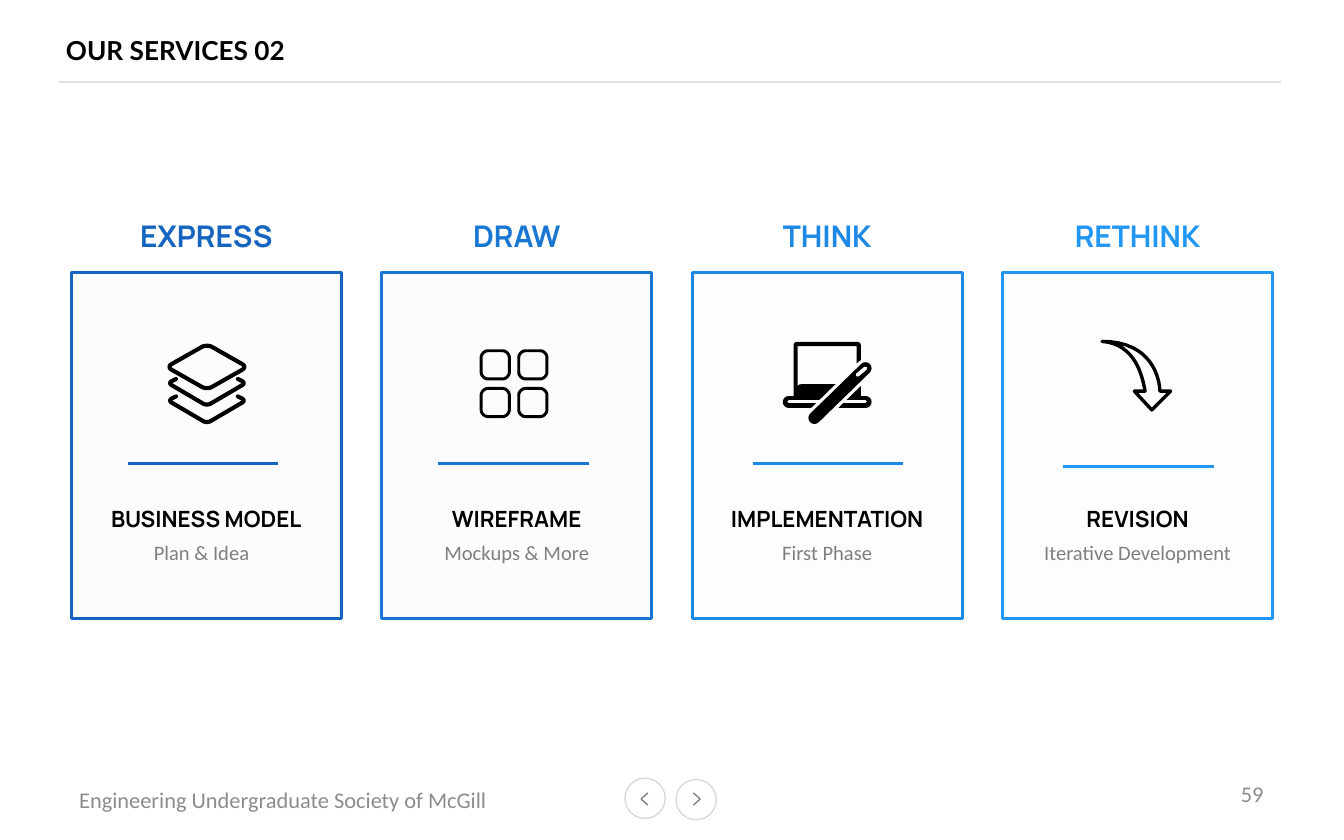
"""Build the "Our services 02" slide with four outlined service cards."""
import lxml.etree
import pptx
import pptx.dml.color
import pptx.enum.shapes
import pptx.enum.text
import pptx.oxml.ns
import pptx.util

Inches = pptx.util.Inches
ALIGN = pptx.enum.text.PP_ALIGN
SHAPE = pptx.enum.shapes.MSO_SHAPE
BLACK, GRAY, MUTED, PALE = "000000", "8C8C8C", "7F7F7F", "FBFDFF"


def bezier(start, first, second, end, steps=16):
    return [
        tuple(
            (1 - t) ** 3 * a + 3 * (1 - t) ** 2 * t * b + 3 * (1 - t) * t**2 * c + t**3 * d
            for a, b, c, d in zip(start, first, second, end)
        )
        for t in (step / steps for step in range(steps + 1))
    ]


def stroke(points, width, radius=0, closed=False, color=BLACK):
    return {"points": points, "width": width, "radius": radius, "closed": closed, "color": color}


def rectangle(left, top, right, bottom):
    return [(left, top), (right, top), (right, bottom), (left, bottom)]


def chevron(drop):
    points = [(1.31, 2.82), (1.25, 2.85), (1.54, 3.02), (1.83, 2.85), (1.77, 2.82)]
    return [(x, y + drop) for x, y in points]


LAYERS = [
    stroke([(1.24, 2.73), (1.54, 2.56), (1.84, 2.73), (1.54, 2.9)], 2.2, 0.04, True),
    stroke(chevron(0), 2.2, 0.03),
    stroke(chevron(0.13), 2.2, 0.03),
]
TILES = [
    stroke(rectangle(x, y, x + 0.21, y + 0.21), 1.6, 0.05, True)
    for x in (3.58, 3.86) for y in (2.61, 2.89)
]
LAPTOP = [
    stroke(rectangle(5.92, 2.56, 6.39, 2.96), 2.2, 0.01, True),
    stroke([(5.97, 2.91), (6.34, 2.91)], 8),
    stroke([(5.87, 2.99), (6.44, 2.99)], 6.5),
    stroke([(5.87, 2.99), (6.44, 2.99)], 1.5, color=PALE),
    stroke([(6.06, 3.11), (6.44, 2.74)], 10, color=PALE),
    stroke([(6.06, 3.11), (6.44, 2.74)], 6.5),
    stroke([(6.38, 2.79), (6.44, 2.74)], 2, color=PALE),
]
ARROW = [
    stroke(
        bezier((8.2, 2.54), (8.58, 2.54), (8.63, 2.83), (8.63, 2.91))
        + [(8.71, 2.91), (8.57, 3.05), (8.44, 2.91)]
        + bezier((8.52, 2.91), (8.5, 2.8), (8.45, 2.56), (8.2, 2.54)),
        1.8, closed=True,
    )
]

CARDS = [
    {"verb": "EXPRESS", "name": "BUSINESS MODEL", "caption": "Plan & Idea", "color": "1565C0",
     "fill": "C9E0F9", "rule": (0.95, 3.45), "caption_width": 1.94, "icon": LAYERS},
    {"verb": "DRAW", "name": "WIREFRAME", "caption": "Mockups & More", "color": "1976D2",
     "fill": "CEE4F9", "rule": (3.26, 3.45), "caption_width": 2.01, "icon": TILES},
    {"verb": "THINK", "name": "IMPLEMENTATION", "caption": "First Phase", "color": "1E88E5",
     "fill": "D2E7FA", "rule": (5.6, 3.45), "caption_width": 2.01, "icon": LAPTOP},
    {"verb": "RETHINK", "name": "REVISION", "caption": "Iterative Development", "color": "2196F3",
     "fill": "D3EAFD", "rule": (7.91, 3.47), "caption_width": 2.01, "icon": ARROW},
]
CARD_LEFT, CARD_STEP, CARD_TOP, CARD_WIDTH, CARD_HEIGHT = 0.53, 2.31, 2.03, 2.01, 2.57
BUTTONS = [(4.65, 5.79, 4.77, 4.82), (5.03, 5.8, 5.21, 5.16)]

deck = pptx.Presentation()
deck.slide_width, deck.slide_height = Inches(10), Inches(6.25)
page = deck.slides.add_slide(deck.slide_layouts[5])


def rgb(value):
    return pptx.dml.color.RGBColor.from_string(value)


def element(parent, tag, **attributes):
    return lxml.etree.SubElement(parent, pptx.oxml.ns.qn(tag), **attributes)


def outline(shape, color, width):
    shape.line.color.rgb = rgb(color)
    shape.line.width = pptx.util.Pt(width)


def write(box, text, size, color, font="Calibri", bold=False, align=ALIGN.LEFT, middle=False):
    frame = box.text_frame
    frame.word_wrap = True
    anchors = pptx.enum.text.MSO_ANCHOR
    frame.vertical_anchor = anchors.MIDDLE if middle else anchors.TOP
    para = frame.paragraphs[0]
    para.alignment = align
    span = para.add_run()
    span.text = text
    for key, value in {"name": font, "size": pptx.util.Pt(size), "bold": bold}.items():
        setattr(span.font, key, value)
    span.font.color.rgb = rgb(color)


def add_text(place, *content, **formats):
    write(page.shapes.add_textbox(*map(Inches, place)), *content, **formats)


def add_line(start, end, color, width):
    kind = pptx.enum.shapes.MSO_CONNECTOR.STRAIGHT
    line = page.shapes.add_connector(kind, *map(Inches, (*start, *end)))
    outline(line, color, width)
    element(line._element.spPr, "a:effectLst")


def add_shape(kind, place, fill, color, width, alpha=100):
    shape = page.shapes.add_shape(kind, *map(Inches, place))
    shape.shadow.inherit = False
    shape.fill.solid()
    shape.fill.fore_color.rgb = rgb(fill)
    if alpha < 100:
        tint = shape._element.spPr.find(".//" + pptx.oxml.ns.qn("a:srgbClr"))
        element(tint, "a:alpha", val=str(alpha * 1000))
    outline(shape, color, width)


def toward(start, end, distance):
    length = sum((b - a) ** 2 for a, b in zip(start, end)) ** 0.5
    return tuple(a + (b - a) * min(distance / length, 0.5) for a, b in zip(start, end))


def round_corners(points, radius, closed):
    rounded = []
    for index, point in enumerate(points):
        if not radius or (not closed and index in (0, len(points) - 1)):
            rounded.append(point)
            continue
        before = toward(point, points[index - 1], radius)
        after = toward(point, points[(index + 1) % len(points)], radius)
        rounded += bezier(before, toward(before, point, radius / 2),
                          toward(after, point, radius / 2), after, 6)
    return rounded


def add_stroke(points, width, radius, closed, color):
    corners = [tuple(map(Inches, point)) for point in round_corners(points, radius, closed)]
    builder = page.shapes.build_freeform(*corners[0])
    builder.add_line_segments(corners[1:], close=closed)
    shape = builder.convert_to_shape()
    shape.shadow.inherit = False
    shape.fill.background()
    outline(shape, color, width)
    line = shape._element.spPr.find(pptx.oxml.ns.qn("a:ln"))
    line.set("cap", "rnd")
    element(line, "a:round")


title = page.shapes.title
for side, value in {"left": 0.49, "top": 0.16, "width": 6.67, "height": 0.43}.items():
    setattr(title, side, Inches(value))
for side in ("left", "top", "right", "bottom"):
    setattr(title.text_frame, "margin_" + side, 0)
write(title, "OUR SERVICES 02", 14, BLACK, font="Lato", bold=True, middle=True)
add_line((0.44, 0.61), (9.53, 0.61), "E0E0E0", 0.75)

add_text((0.49, 5.8, 3.39, 0.3), "Engineering Undergraduate Society of McGill", 12, GRAY, middle=True)
add_text((7.17, 5.74, 2.33, 0.33), "59", 12, GRAY, align=ALIGN.RIGHT, middle=True)
for left, top, tip, tail in BUTTONS:
    add_shape(SHAPE.OVAL, (left, top, 0.3, 0.3), "FFFFFF", "D9D9D9", 0.75)
    for end in (5.9, 5.99):
        add_line((tip, 5.945), (tail, end), "808080", 0.75)

for index, card in enumerate(CARDS):
    left = CARD_LEFT + index * CARD_STEP
    add_shape(SHAPE.RECTANGLE, (left, CARD_TOP, CARD_WIDTH, CARD_HEIGHT),
              card["fill"], card["color"], 1.5, alpha=8)
    heading = {"font": "Manrope", "bold": True, "align": ALIGN.CENTER}
    add_text((left, 1.57, CARD_WIDTH, 0.37), card["verb"], 16, card["color"], **heading)
    add_text((left, 3.71, CARD_WIDTH, 0.3), card["name"], 12, BLACK, **heading)
    add_text((left, 3.97, card["caption_width"], 0.29), card["caption"], 11, MUTED, align=ALIGN.CENTER)
    rule_left, rule_top = card["rule"]
    add_line((rule_left, rule_top), (rule_left + 1.12, rule_top), card["color"], 1.5)
    for piece in card["icon"]:
        add_stroke(**piece)

deck.save("out.pptx")
